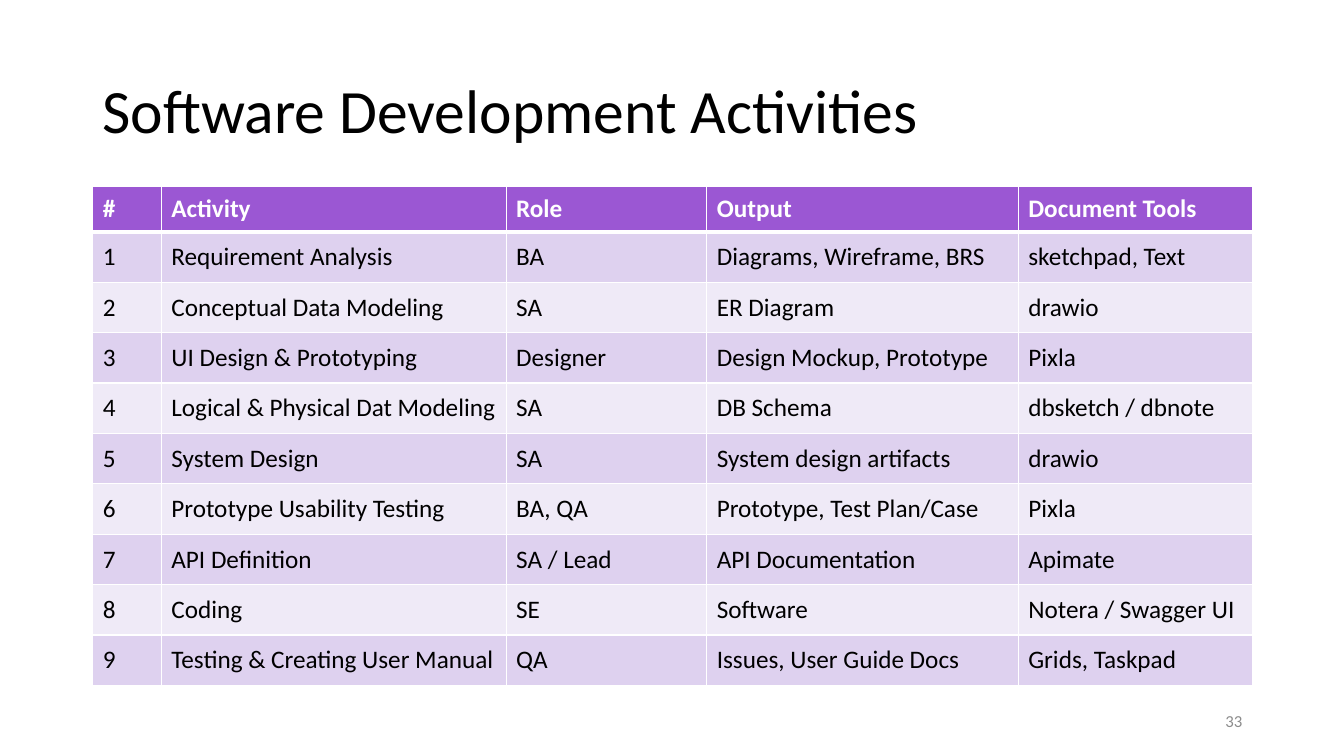
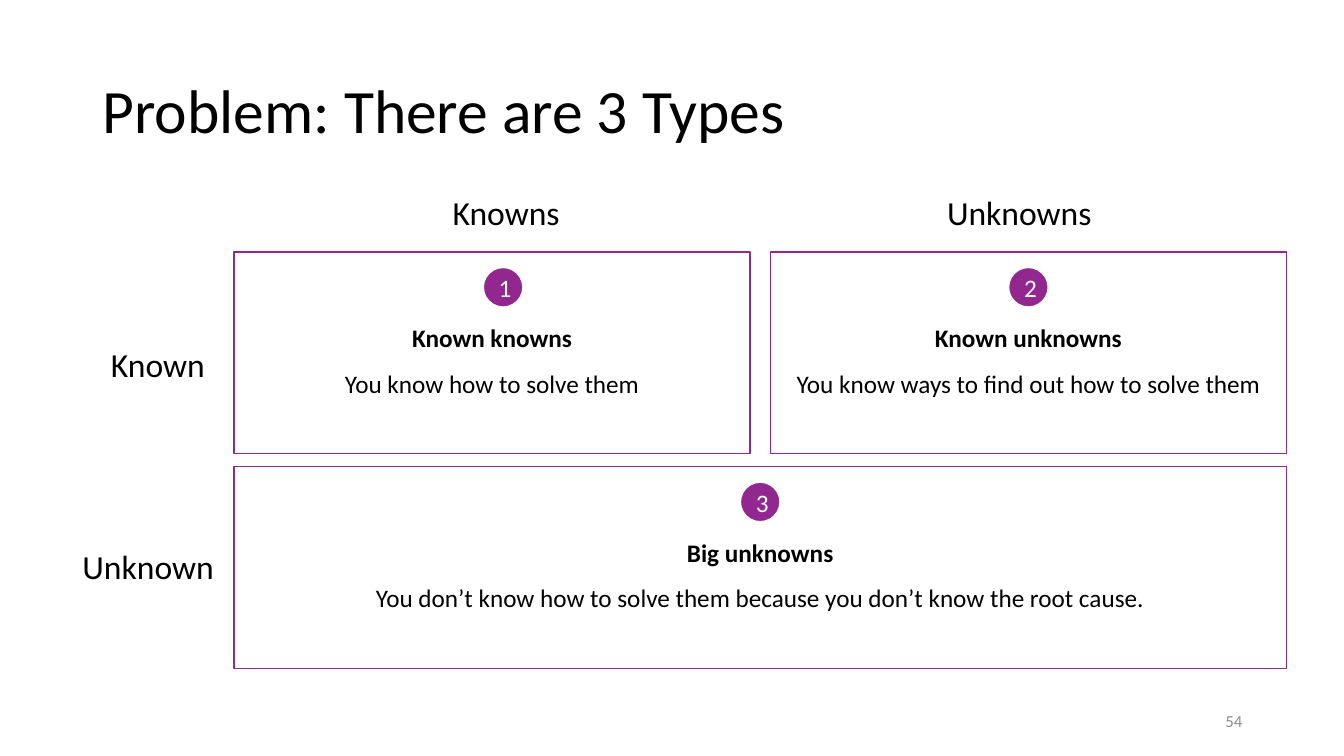
import pptx
import pptx.util
import pptx.dml.color
import pptx.enum.shapes
import pptx.enum.text
import pptx.oxml
import pptx.oxml.ns

Inches = pptx.util.Inches
Pt = pptx.util.Pt
ALIGN = pptx.enum.text.PP_ALIGN
SHAPE = pptx.enum.shapes.MSO_SHAPE
MIDDLE = pptx.enum.text.MSO_ANCHOR.MIDDLE

FONT = "Calibri"
BLACK, WHITE, GREY = "000000", "FFFFFF", "8C8C8C"
PURPLE = "92278F"
HEADER_FILL = "9B57D3"
BAND_FILLS = ("DED1EF", "EFEAF7")

TITLE_BOX = (0.92, 0.4, 11.5, 1.45)
NUMBER_BOX = (9.42, 6.95, 3, 0.4)

ACTIVITY_COLUMNS = (0.68, 3.42, 1.99, 3.09, 2.32)
ACTIVITY_HEADINGS = ("#", "Activity", "Role", "Output", "Document Tools")
ACTIVITIES = (
    ("Requirement Analysis", "BA", "Diagrams, Wireframe, BRS", "sketchpad, Text"),
    ("Conceptual Data Modeling", "SA", "ER Diagram", "drawio"),
    ("UI Design & Prototyping", "Designer", "Design Mockup, Prototype", "Pixla"),
    ("Logical & Physical Dat Modeling", "SA", "DB Schema", "dbsketch / dbnote"),
    ("System Design", "SA", "System design artifacts", "drawio"),
    ("Prototype Usability Testing", "BA, QA", "Prototype, Test Plan/Case", "Pixla"),
    ("API Definition", "SA / Lead", "API Documentation", "Apimate"),
    ("Coding", "SE", "Software", "Notera / Swagger UI"),
    ("Testing & Creating User Manual", "QA", "Issues, User Guide Docs", "Grids, Taskpad"),
)


def colour(value):
    return pptx.dml.color.RGBColor.from_string(value)


def write(paragraph, text, size, ink=BLACK, bold=False, align=ALIGN.LEFT, spacing=None):
    paragraph.alignment = align
    if spacing:
        paragraph.line_spacing = spacing
    run = paragraph.add_run()
    run.text = text
    run.font.name = FONT
    run.font.size = Pt(size)
    run.font.bold = bold
    run.font.color.rgb = colour(ink)


def add_text(slide, box, text, size, **style):
    frame = slide.shapes.add_textbox(*map(Inches, box)).text_frame
    frame.word_wrap = True
    frame.vertical_anchor = MIDDLE
    write(frame.paragraphs[0], text, size, **style)


def add_panel(shapes, preset, box, fill, line, width):
    panel = shapes.add_shape(preset, *map(Inches, box))
    panel.shadow.inherit = False
    panel.fill.solid()
    panel.fill.fore_color.rgb = colour(fill)
    panel.line.color.rgb = colour(line)
    panel.line.width = Pt(width)
    panel.text_frame.word_wrap = True
    panel.text_frame.vertical_anchor = MIDDLE
    return panel.text_frame


def add_slide(deck, title, number):
    slide = deck.slides.add_slide(deck.slide_layouts[6])
    add_text(slide, TITLE_BOX, title, 44, spacing=0.9)
    add_text(slide, NUMBER_BOX, number, 12, ink=GREY, align=ALIGN.RIGHT)
    return slide


def set_borders(cell, top, bottom):
    properties = cell._tc.get_or_add_tcPr()
    widths = (("lnL", 1), ("lnR", 1), ("lnT", top), ("lnB", bottom))
    for position, (side, width) in enumerate(widths):
        border = pptx.oxml.parse_xml(
            f'<a:{side} {pptx.oxml.ns.nsdecls("a")} w="{Pt(width)}">'
            f'<a:solidFill><a:srgbClr val="{WHITE}"/></a:solidFill></a:{side}>'
        )
        properties.insert(position, border)


def add_activity_table(slide, left, top):
    rows = [ACTIVITY_HEADINGS]
    rows += [(str(n), *activity) for n, activity in enumerate(ACTIVITIES, 1)]
    heights = [0.45] + [0.5] * len(ACTIVITIES)
    box = (left, top, sum(ACTIVITY_COLUMNS), sum(heights))
    table = slide.shapes.add_table(
        len(rows), len(ACTIVITY_COLUMNS), *map(Inches, box)
    ).table
    for column, width in zip(table.columns, ACTIVITY_COLUMNS):
        column.width = Inches(width)
    for index, values in enumerate(rows):
        heading = index == 0
        table.rows[index].height = Inches(heights[index])
        for cell, value in zip(table.rows[index].cells, values):
            cell.vertical_anchor = MIDDLE
            cell.fill.solid()
            fill = HEADER_FILL if heading else BAND_FILLS[(index - 1) % 2]
            cell.fill.fore_color.rgb = colour(fill)
            set_borders(cell, 3 if index == 1 else 1, 3 if heading else 1)
            write(cell.text_frame.paragraphs[0], value, 18,
                  ink=WHITE if heading else BLACK, bold=heading)


def add_problem_card(slide, box, number, heading, detail, badge_offset):
    left, top, width, _ = box
    shapes = slide.shapes.add_group_shape().shapes
    card = add_panel(shapes, SHAPE.RECTANGLE, box, WHITE, PURPLE, 1)
    write(card.paragraphs[0], heading, 18, bold=True, align=ALIGN.CENTER, spacing=1.5)
    write(card.add_paragraph(), detail, 18, align=ALIGN.CENTER, spacing=1.5)
    size = 0.4
    badge_box = (left + (width - size) / 2 + badge_offset, top + 0.15, size, size)
    badge = add_panel(shapes, SHAPE.OVAL, badge_box, PURPLE, WHITE, 1.5)
    write(badge.paragraphs[0], number, 18, ink=WHITE, align=ALIGN.CENTER)


def add_problem_matrix(slide, left, top):
    width, height, gap_x, gap_y = 5.12, 2, 0.2, 0.13
    right = left + width + gap_x
    lower = top + height + gap_y
    for text, centre in (("Knowns", left + 2.7), ("Unknowns", right + 2.47)):
        add_text(slide, (centre - 0.9, top - 0.65, 1.8, 0.5), text, 24, align=ALIGN.CENTER)
    for text, edge, y in (("Known", 2.13, top + 0.86), ("Unknown", 2.22, lower + 0.74)):
        add_text(slide, (edge - 1.76, y, 1.76, 0.5), text, 24, align=ALIGN.RIGHT)
    cards = (
        ((left, top, width, height), "Known knowns",
         "You know how to solve them", 0.11),
        ((right, top, width, height), "Known unknowns",
         "You know ways to find out how to solve them", 0),
        ((left, lower, 2 * width + gap_x, height), "Big unknowns",
         "You don’t know how to solve them because you don’t know the root cause.", 0),
    )
    for number, (box, heading, detail, badge_offset) in enumerate(cards, 1):
        add_problem_card(slide, box, str(number), heading, detail, badge_offset)


def main():
    deck = pptx.Presentation()
    deck.slide_width, deck.slide_height = Inches(13.33), Inches(7.5)
    add_activity_table(add_slide(deck, "Software Development Activities", "33"), 0.92, 1.85)
    add_problem_matrix(add_slide(deck, "Problem: There are 3 Types", "54"), 2.32, 2.5)
    deck.save("out.pptx")


if __name__ == "__main__":
    main()
